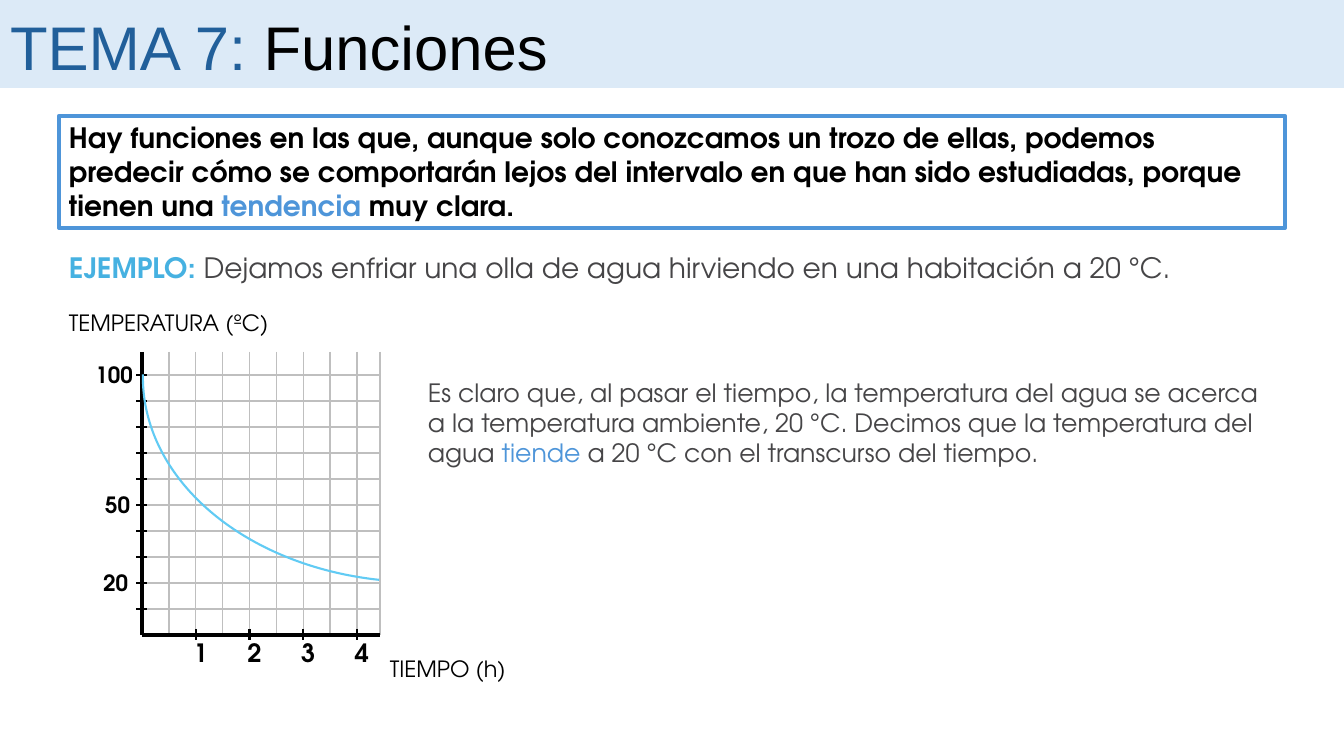
from lxml import etree
from pptx import Presentation
from pptx.dml.color import RGBColor
from pptx.enum.shapes import MSO_CONNECTOR, MSO_SHAPE
from pptx.enum.text import MSO_ANCHOR, MSO_AUTO_SIZE, PP_ALIGN
from pptx.oxml.ns import qn
from pptx.util import Pt

STRAIGHT = MSO_CONNECTOR.STRAIGHT
LEFT, CENTER, RIGHT = PP_ALIGN.LEFT, PP_ALIGN.CENTER, PP_ALIGN.RIGHT
GROW = MSO_AUTO_SIZE.SHAPE_TO_FIT_TEXT

BLACK = RGBColor(0x00, 0x00, 0x00)
GRAY = RGBColor(0x46, 0x45, 0x47)
GRID_GRAY = RGBColor(0xBF, 0xBF, 0xBF)
BAND_BLUE = RGBColor(0xDC, 0xEA, 0xF7)
TITLE_BLUE = RGBColor(0x21, 0x5F, 0x9A)
ACCENT_BLUE = RGBColor(0x4E, 0x95, 0xD9)
EXAMPLE_BLUE = RGBColor(0x46, 0xB1, 0xE1)
CURVE_BLUE = RGBColor(0x61, 0xCB, 0xF4)

TITLE_FONT = "Arial"
BODY_FONT = "TeX Gyre Adventor"

# Each paragraph is a list of (text, colour[, bold]) runs.
TITLE = [[("TEMA 7: ", TITLE_BLUE), ("Funciones", BLACK)]]
STATEMENT = [[
    ("Hay funciones en las que, aunque solo conozcamos un trozo de ellas, podemos "
     "predecir cómo se comportarán lejos del intervalo en que han sido estudiadas, "
     "porque tienen una ", BLACK),
    ("tendencia", ACCENT_BLUE),
    (" muy clara.", BLACK),
]]
EXAMPLE = [[
    ("EJEMPLO: ", EXAMPLE_BLUE, True),
    ("Dejamos enfriar una olla de agua hirviendo en una habitación a 20 °C.", GRAY, False),
]]
CONCLUSION = [
    [("Es claro que, al pasar el tiempo, la temperatura del agua se acerca", GRAY)],
    [("a la temperatura ambiente, 20 °C. Decimos que la temperatura del", GRAY)],
    [("agua ", GRAY), ("tiende ", ACCENT_BLUE),
     ("a 20 °C con el transcurso del tiempo.", GRAY)],
]
AXIS_TITLES = [("TEMPERATURA (ºC)", (59, 304, 257, 37)), ("TIEMPO (h)", (380, 650, 165, 37))]
HOURS = [1, 2, 3, 4]
TEMPERATURE_LABELS = [(20, 92, 46), (50, 94, 46), (100, 78, 65)]  # value, left, width

SLIDE_WIDTH, SLIDE_HEIGHT = 1344, 756
PX = 12192000 / SLIDE_WIDTH
ORIGIN_X, ORIGIN_Y = 142, 635
GRID_RIGHT, GRID_TOP = 380, 352
FOUR_HOURS, HUNDRED_DEGREES = 215, 260
CURVE_BOX = (143, 173, 551, 409)
CURVE_ANGLES = (60.6, 108.38)


def px(*lengths):
    return [round(length * PX) for length in lengths]


def hour_x(hour):
    return ORIGIN_X + FOUR_HOURS * hour / 4


def temperature_y(degrees):
    return ORIGIN_Y - HUNDRED_DEGREES * degrees / 100


def write(shape, paragraphs, size, font=BODY_FONT, bold=False, align=LEFT, wrap=True):
    frame = shape.text_frame
    frame.word_wrap = wrap
    frame.auto_size = GROW
    frame.vertical_anchor = MSO_ANCHOR.TOP
    for index, runs in enumerate(paragraphs):
        paragraph = frame.add_paragraph() if index else frame.paragraphs[0]
        paragraph.alignment = align
        paragraph.font.name = font
        paragraph.font.size = Pt(size)
        paragraph.font.bold = bold
        for text, color, *run_bold in runs:
            run = paragraph.add_run()
            run.text = text
            run.font.color.rgb = color
            if run_bold:
                run.font.bold = run_bold[0]


def add_text(slide, box, paragraphs, size, **style):
    text_box = slide.shapes.add_textbox(*px(*box))
    write(text_box, paragraphs, size, **style)
    return text_box


def add_line(slide, start, end, color, width):
    line = slide.shapes.add_connector(STRAIGHT, *px(*start, *end))
    line.line.color.rgb = color
    line.line.width = Pt(width)
    etree.SubElement(line.element.spPr, qn("a:effectLst"))


def add_heading(slide):
    title = slide.shapes.title
    title.left, title.top, title.width, title.height = px(0, 4, 1195, 84)
    write(title, TITLE, 44, font=TITLE_FONT)
    band = slide.shapes.add_shape(MSO_SHAPE.RECTANGLE, *px(0, 0, SLIDE_WIDTH, 88))
    band.shadow.inherit = False
    band.fill.solid()
    band.fill.fore_color.rgb = BAND_BLUE
    band.line.fill.background()
    title.element.addprevious(band.element)


def add_grid(slide):
    for step in range(11):
        y = temperature_y(10 * step)
        add_line(slide, (ORIGIN_X, y), (GRID_RIGHT, y), GRID_GRAY, 1)
    for x in [hour_x(step / 2) for step in range(1, 9)] + [GRID_RIGHT]:
        add_line(slide, (x, GRID_TOP), (x, ORIGIN_Y), GRID_GRAY, 1)


def add_axes(slide):
    for text, box in AXIS_TITLES:
        add_text(slide, box, [[(text, BLACK)]], 16)
    for hour in HOURS:
        x = hour_x(hour)
        label = add_text(slide, (x - 4, 632, 18, 40), [[(str(hour), BLACK)]], 18,
                         bold=True, align=CENTER, wrap=False)
        label.text_frame.margin_left = label.text_frame.margin_right = 0
        add_line(slide, (x, ORIGIN_Y - 6), (x, ORIGIN_Y + 5), BLACK, 1.5)
    for degrees, left, width in TEMPERATURE_LABELS:
        add_text(slide, (left, temperature_y(degrees) - 19, width, 37),
                 [[(str(degrees), BLACK)]], 16, bold=True, align=RIGHT, wrap=False)
    for degrees in range(10, 101, 10):
        y = temperature_y(degrees)
        add_line(slide, (ORIGIN_X + 5, y), (ORIGIN_X - 6, y), BLACK, 1.5)
    origin = (ORIGIN_X, ORIGIN_Y)
    add_line(slide, origin, (GRID_RIGHT, ORIGIN_Y), BLACK, 2.25)
    add_line(slide, (ORIGIN_X, GRID_TOP), origin, BLACK, 2.25)


def add_cooling_curve(slide):
    curve = slide.shapes.add_shape(MSO_SHAPE.ARC, *px(*CURVE_BOX))
    curve.adjustments[0], curve.adjustments[1] = CURVE_ANGLES
    curve.shadow.inherit = False
    curve.fill.background()
    curve.line.color.rgb = CURVE_BLUE
    curve.line.width = Pt(1.5)


def main():
    presentation = Presentation()
    presentation.slide_width, presentation.slide_height = px(SLIDE_WIDTH, SLIDE_HEIGHT)
    slide = presentation.slides.add_slide(presentation.slide_layouts[5])
    add_heading(slide)
    statement = add_text(slide, (59, 116, 1226, 112), STATEMENT, 20, bold=True)
    statement.line.color.rgb = ACCENT_BLUE
    statement.line.width = Pt(3)
    add_text(slide, (59, 246, 1226, 44), EXAMPLE, 20)
    add_grid(slide)
    add_axes(slide)
    add_cooling_curve(slide)
    add_text(slide, (418, 372, 866, 102), CONCLUSION, 18)
    presentation.save("out.pptx")


if __name__ == "__main__":
    main()
